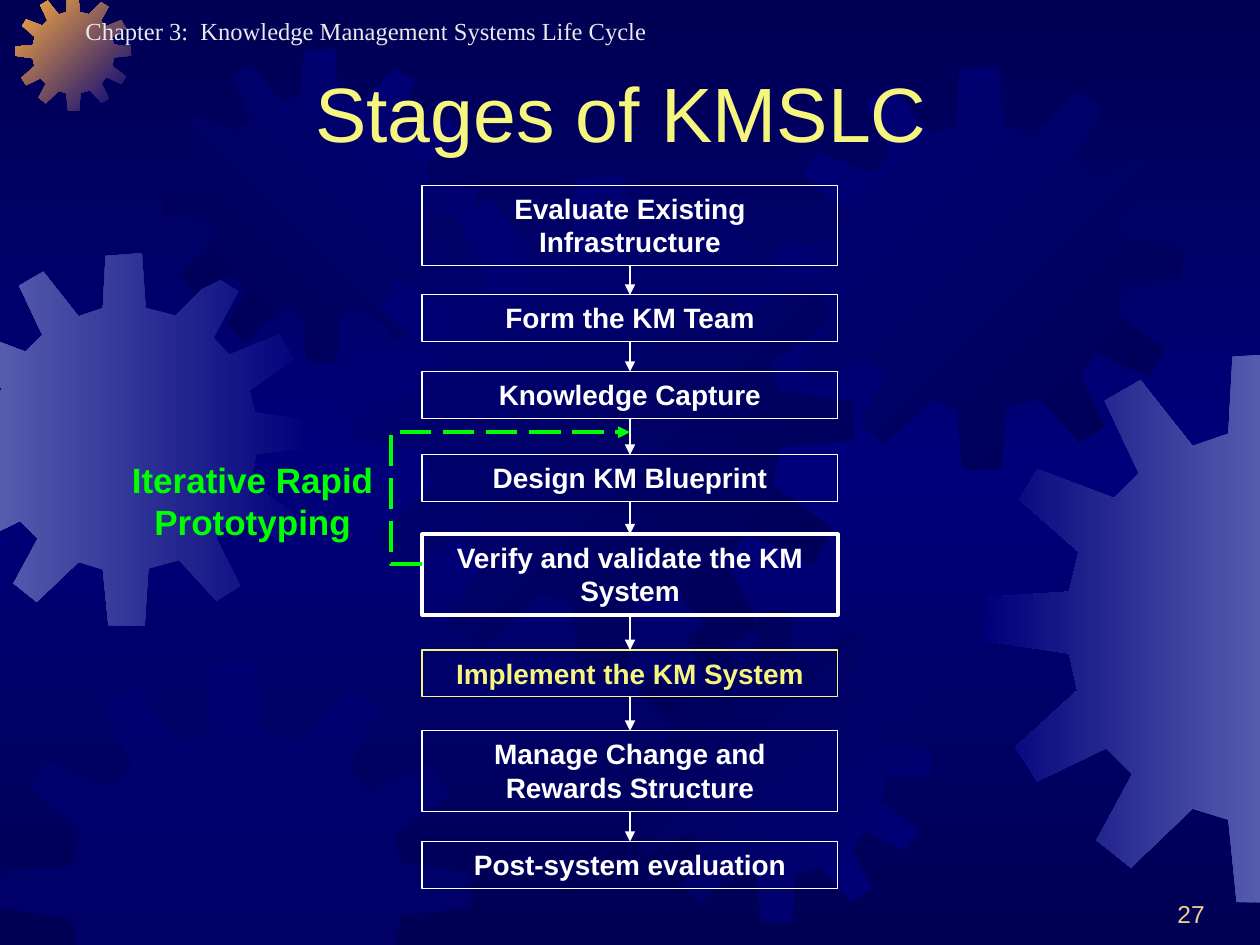
from copy import deepcopy
from itertools import pairwise

from lxml.etree import SubElement
from pptx import Presentation
from pptx.dml.color import RGBColor
from pptx.enum.dml import MSO_LINE
from pptx.enum.shapes import MSO_CONNECTOR as LINK, MSO_SHAPE as SHAPE
from pptx.enum.text import MSO_ANCHOR as ANCHOR, MSO_AUTO_SIZE as AUTO, PP_ALIGN as ALIGN
from pptx.oxml.ns import qn
from pptx.util import Inches, Pt

WHITE = RGBColor(0xFF, 0xFF, 0xFF)
YELLOW = RGBColor(0xF6, 0xF6, 0x7E)
GREEN = RGBColor(0x00, 0xFF, 0x00)
SILVER = RGBColor(0xEA, 0xEA, 0xEA)
SAND = RGBColor(0xEB, 0xD1, 0x89)
ORANGE = RGBColor(0xFC, 0xAB, 0x40)
NIGHT = RGBColor(0x00, 0x00, 0x54)
NAVY = RGBColor(0x00, 0x00, 0x7A)
LAVENDER = RGBColor(0x55, 0x5B, 0xAD)

SLIDE_W, SLIDE_H = 10, 7.5
STEP_LEFT, STEP_W = 3.35, 3.3
ONE_LINE, TWO_LINES = 0.37, 0.64

# Twelve-toothed gear outline on a 401-unit square
GEAR_SIZE = 401
GEAR = [
    (255, 67), (223, 59), (219, 0), (180, 3), (177, 59), (151, 68), (113, 20), (87, 35),
    (112, 88), (94, 106), (38, 85), (25, 107), (68, 145), (61, 174), (1, 178), (0, 210),
    (61, 219), (67, 246), (22, 287), (38, 312), (88, 288), (107, 307), (81, 355), (106, 375),
    (151, 332), (177, 340), (183, 400), (222, 401), (226, 339), (259, 330), (299, 374), (325, 358),
    (299, 306), (316, 284), (368, 309), (384, 281), (336, 246), (342, 216), (401, 210), (400, 180),
    (341, 171), (335, 148), (383, 114), (367, 87), (313, 109), (296, 91), (323, 41), (297, 25),
]

# left, top, size, first colour, last colour, counter-clockwise angle
GEARS = [
    (-0.49, 2.01, 2.96, NAVY, LAVENDER, 180),
    (0.12, -0.04, 0.92, NAVY, ORANGE, 135),
    (1.3, 0.39, 2.48, NAVY, NIGHT, 225),
    (2.77, 1.39, 4.01, NIGHT, NAVY, 135),
    (0, 5.25, 3.74, NAVY, None, None),
    (4.91, 4.84, 2.48, NAVY, NIGHT, 135),
    (6.18, 0.53, 3.2, NIGHT, NAVY, 135),
    (7.82, 2.8, 4.37, LAVENDER, NAVY, 180),
]

# text, top, height, colour, outline width
STEPS = [
    ("Evaluate Existing Infrastructure", 1.47, TWO_LINES, WHITE, 0.75),
    ("Form the KM Team", 2.34, ONE_LINE, WHITE, 0.75),
    ("Knowledge Capture", 2.95, ONE_LINE, WHITE, 0.75),
    ("Design KM Blueprint", 3.61, ONE_LINE, WHITE, 0.75),
    ("Verify and validate the KM System", 4.24, TWO_LINES, WHITE, 2),
    ("Implement the KM System", 5.16, ONE_LINE, YELLOW, 0.75),
    ("Manage Change and Rewards Structure", 5.8, TWO_LINES, WHITE, 0.75),
    ("Post-system evaluation", 6.68, ONE_LINE, WHITE, 0.75),
]


def clip(points, axis, limit, sign):
    """Keep the part of a polygon where sign * (coordinate - limit) >= 0."""
    kept = []
    for a, b in zip(points, points[1:] + points[:1]):
        a_in, b_in = (sign * (p[axis] - limit) >= 0 for p in (a, b))
        if a_in:
            kept.append(a)
        if a_in != b_in:
            t = (limit - a[axis]) / (b[axis] - a[axis])
            kept.append(tuple(u + t * (v - u) for u, v in zip(a, b)))
    return kept


def write(shape, text, size=16, color=WHITE, bold=False, align=ALIGN.CENTER,
          anchor=ANCHOR.TOP, font="Arial"):
    frame = shape.text_frame
    frame.word_wrap = True
    frame.auto_size = AUTO.NONE
    frame.vertical_anchor = anchor
    paragraph = frame.paragraphs[0]
    paragraph.alignment = align
    run = paragraph.add_run()
    run.text = text
    run.font.name, run.font.size, run.font.bold = font, Pt(size), bold
    run.font.color.rgb = color


class Deck:
    def __init__(self):
        self.prs = Presentation()
        self.prs.slide_width, self.prs.slide_height = Inches(SLIDE_W), Inches(SLIDE_H)
        self.slide = self.prs.slides.add_slide(self.prs.slide_layouts[5])
        self.shapes = self.slide.shapes

    def gradient(self, fill, first, last, angle):
        fill.gradient()
        fill.gradient_angle = angle
        for stop, color in zip(fill.gradient_stops, (first, last)):
            stop.color.rgb = color

    def background(self, edge, middle):
        self.gradient(self.slide.background.fill, edge, middle, 270)
        stops = next(self.slide.element.iter(qn("a:gsLst")))
        stops.append(deepcopy(stops[0]))
        for stop, position in zip(stops, (0, 50000, 100000)):
            stop.set("pos", str(position))

    def gear(self, left, top, size, first, last, angle):
        scale = size / GEAR_SIZE
        points = [(left + x * scale, top + y * scale) for x, y in GEAR]
        for axis, limit, sign in ((0, 0, 1), (0, SLIDE_W, -1), (1, 0, 1), (1, SLIDE_H, -1)):
            points = clip(points, axis, limit, sign)
        start, *rest = [(Inches(x), Inches(y)) for x, y in points]
        builder = self.shapes.build_freeform(*start)
        builder.add_line_segments(rest, close=True)
        gear = builder.convert_to_shape()
        gear.shadow.inherit = False
        gear.line.fill.background()
        if last is not None:
            self.gradient(gear.fill, first, last, angle)
        else:
            gear.fill.solid()
            gear.fill.fore_color.rgb = first
            color = next(gear.fill._xPr.iter(qn("a:srgbClr")))
            SubElement(color, qn("a:alpha")).set("val", "50000")

    def title(self, text, left, top, width, height, **style):
        title = self.shapes.title
        title.left, title.top = Inches(left), Inches(top)
        title.width, title.height = Inches(width), Inches(height)
        # Titles stack above the gears
        self.shapes._spTree.append(title.element)
        write(title, text, **style)

    def label(self, text, left, top, width, height, **style):
        box = self.shapes.add_textbox(Inches(left), Inches(top), Inches(width), Inches(height))
        write(box, text, **style)

    def step(self, text, top, height, color, line_width):
        step = self.shapes.add_shape(SHAPE.RECTANGLE, Inches(STEP_LEFT), Inches(top),
                                     Inches(STEP_W), Inches(height))
        step.shadow.inherit = False
        step.fill.background()
        step.line.color.rgb, step.line.width = color, Pt(line_width)
        write(step, text, color=color, bold=True)
        return step

    def connector(self, kind, start, end, color, width, dash=None):
        link = self.shapes.add_connector(kind, *map(Inches, start + end))
        link.line.color.rgb, link.line.width = color, Pt(width)
        if dash:
            link.line.dash_style = dash
        SubElement(link.line._get_or_add_ln(), qn("a:tailEnd")).set("type", "triangle")
        SubElement(link.element.spPr, qn("a:effectLst"))
        return link

    def arrow(self, upper, lower):
        link = self.connector(LINK.STRAIGHT, (0, 0), (0, 0), WHITE, 0.75)
        link.begin_connect(upper, 2)
        link.end_connect(lower, 0)

    def loop(self, start, end, bend):
        link = self.connector(LINK.ELBOW, start, end, GREEN, 2.25, MSO_LINE.LONG_DASH)
        guides = next(link.element.iter(qn("a:avLst")))
        guide = SubElement(guides, qn("a:gd"))
        guide.set("name", "adj1")
        guide.set("fmla", f"val {round(bend * 100000)}")


def main():
    deck = Deck()

    # Backdrop
    deck.background(NIGHT, NAVY)
    for gear in GEARS:
        deck.gear(*gear)

    # Headings
    deck.label("\tChapter 3:  Knowledge Management Systems Life Cycle", 0.08, 0.08, 7.17, 0.34,
               size=14, color=SILVER, align=ALIGN.LEFT, font="Times New Roman")
    deck.title("Stages of KMSLC", 2.4, 0.05, 9.58, 1.25, size=44, color=YELLOW,
               align=ALIGN.LEFT, anchor=ANCHOR.BOTTOM)

    # Life cycle
    steps = [deck.step(*step) for step in STEPS]
    for upper, lower in pairwise(steps):
        deck.arrow(upper, lower)

    # Prototyping loop
    deck.loop((STEP_LEFT, 4.48), (5, 3.43), -0.15)
    deck.label("Iterative Rapid Prototyping", 0.9, 3.59, 2.21, 0.77,
               size=20, color=GREEN, bold=True)

    # Slide number
    deck.label("27", 7.58, 6.92, 2.08, 0.5, size=14, color=SAND,
               align=ALIGN.RIGHT, anchor=ANCHOR.BOTTOM)

    deck.prs.save("out.pptx")


if __name__ == "__main__":
    main()
